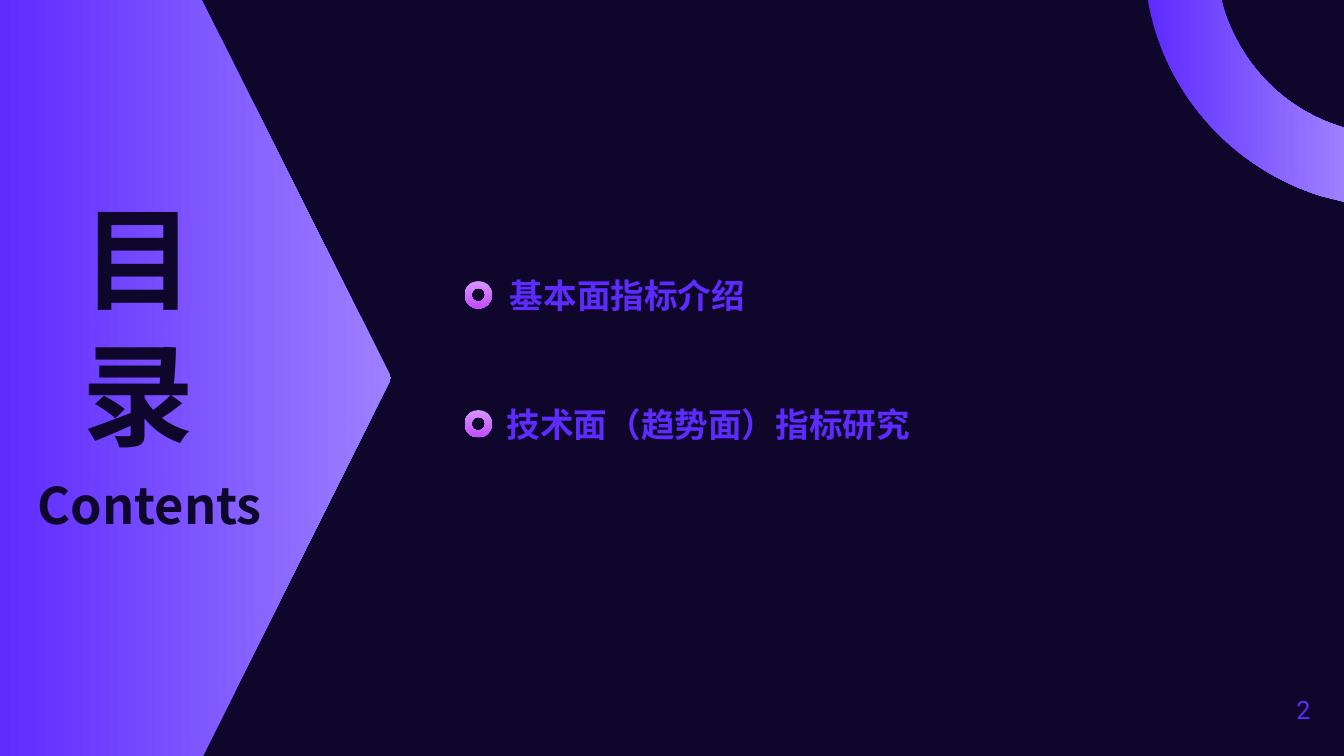
from pptx import Presentation
from pptx import util as u
from pptx.dml.color import RGBColor
from pptx.enum import shapes, text
from pptx.oxml.ns import qn
from lxml import etree

# Content: label, left edge and width in cm
ITEMS = [("基本面指标介绍", 12.6, 17.5),
         ("技术面（趋势面）指标研究", 12.52, 18.19)]
HUES = {"night": "0F062C", "blue": "5E2BFF", "lilac": "9E80FF",
        "pink": "D994FE", "plum": "C04CFD"}
SANS = "Noto Sans CJK SC"
WIDE, HIGH = 33.87, 19.05

# Outlines in cm
ARROW = [(0, 0), (5.08, 0), (9.86, HIGH / 2), (5.11, HIGH), (0, HIGH)]
INNER = [(30.84, 0.23), (31.29, 1.65), (32.39, 2.77), (33.81, 3.2)]
OUTER = [(33.27, 4.93), (31.09, 4.24), (29.44, 2.44), (28.96, 0.18)]

# Rows in cm
TOP, PITCH, TALL = 6.53, 3.25, 1.8
DOT, DOT_X = 0.69, 11.71


def curve(ends, steps=32):
    """Points along a cubic curve."""
    a, b, c, d = ends
    pts = []
    for i in range(steps + 1):
        t = i / steps
        s = 1 - t
        pts.append(tuple(s**3 * a[k] + 3 * s * s * t * b[k]
                         + 3 * s * t * t * c[k] + t**3 * d[k] for k in (0, 1)))
    return pts


def blend(shape, first, last, angle=0):
    shape.shadow.inherit = False
    shape.line.fill.background()
    shape.fill.gradient()
    shape.fill.gradient_angle = angle
    for stop, hue in zip(shape.fill.gradient_stops, (first, last)):
        stop.color.rgb = RGBColor.from_string(HUES[hue])


def outline(pts):
    pts = [(u.Cm(x), u.Cm(y)) for x, y in pts]
    form = slide.shapes.build_freeform(*pts[0])
    form.add_line_segments(pts[1:], close=True)
    blend(form.convert_to_shape(), "blue", "lilac")


def write(words, left, top, width, height, size, hue="blue", font=SANS,
          bold=True, align="LEFT", anchor="TOP", wrap=True, pitch=None, inset=0.13):
    box = slide.shapes.add_textbox(*map(u.Cm, (left, top, width, height)))
    frame = box.text_frame
    frame.word_wrap = wrap
    frame.margin_top = u.Cm(inset)
    frame.vertical_anchor = text.MSO_ANCHOR[anchor]
    para = frame.paragraphs[0]
    para.alignment = text.PP_ALIGN[align]
    if pitch:
        para.line_spacing = u.Pt(pitch)
    run = para.add_run()
    run.text = words
    run.font.size = u.Pt(size)
    run.font.bold = bold
    run.font.color.rgb = RGBColor.from_string(HUES[hue])
    run.font.name = font
    east = etree.SubElement(run.font._element, qn("a:ea"))
    east.set("typeface", font)


deck = Presentation()
deck.slide_width, deck.slide_height = u.Cm(WIDE), u.Cm(HIGH)
slide = deck.slides.add_slide(deck.slide_layouts[6])
back = slide.background.fill
back.solid()
back.fore_color.rgb = RGBColor.from_string(HUES["night"])

# Page number
write("2", 31.98, 17.37, 1.3, 1.02, 18, font="Roboto", bold=False,
      align="RIGHT", wrap=False)

# Corner ring and side arrow
outline([(30.78, 0), *curve(INNER), (WIDE, 3.23), (WIDE, 5.08),
         *curve(OUTER), (28.93, 0)])
outline(ARROW)

# Title
write("目录", 1.17, 4.39, 4.62, 7.09, 80, hue="night", align="CENTER",
      pitch=97, inset=0.36)
write("Contents", 0.18, 11.73, 7.19, 1.8, 36, hue="night", align="CENTER",
      pitch=44, inset=0.2)

# Agenda rows
for i, (label, left, width) in enumerate(ITEMS):
    top = TOP + i * PITCH
    dot = slide.shapes.add_shape(
        shapes.MSO_SHAPE.DONUT, u.Cm(DOT_X), u.Cm(top + (TALL - DOT) / 2),
        u.Cm(DOT), u.Cm(DOT))
    blend(dot, "pink", "plum", 270)
    write(label, left, top, width, TALL, 24, anchor="MIDDLE")

deck.save("out.pptx")
